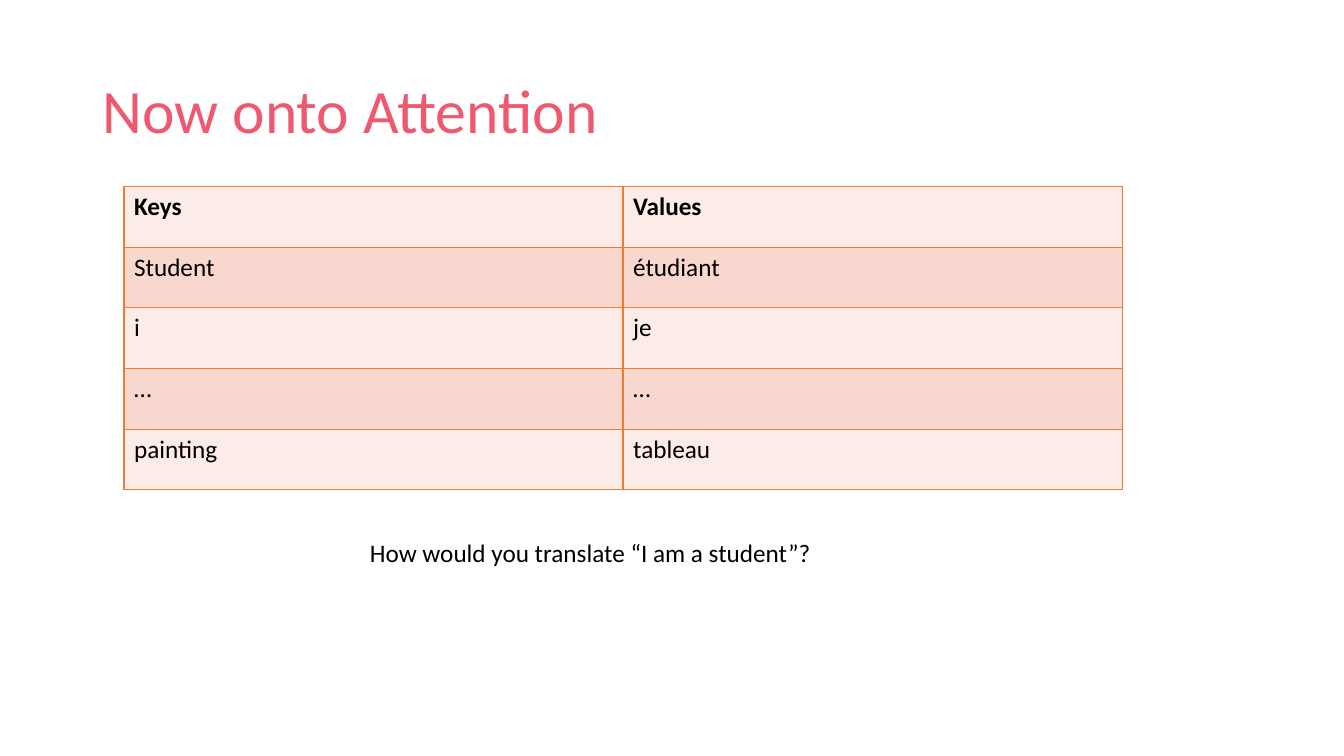
import lxml.etree
import pptx
import pptx.dml.color
import pptx.enum.text
import pptx.oxml.ns
import pptx.util

Inches = pptx.util.Inches
Pt = pptx.util.Pt
FONT = "Calibri"
BLACK = "000000"
BORDER = "ED7D31"
BANDS = ("FCECE8", "F8D7CE")
ROWS = (
    ("Keys", "Values"),
    ("Student", "étudiant"),
    ("i", "je"),
    ("…", "…"),
    ("painting", "tableau"),
)


def rgb(color):
    """Turn a hex string into a colour."""
    return pptx.dml.color.RGBColor.from_string(color)


def style(p, size, color, bold=False):
    """Set the font of a paragraph."""
    p.font.name = FONT
    p.font.size = Pt(size)
    p.font.bold = bold
    p.font.color.rgb = rgb(color)


def add_text(slide, box, text, size, color):
    """Add a single-paragraph text box and return its frame."""
    tf = slide.shapes.add_textbox(*map(Inches, box)).text_frame
    tf.word_wrap = True
    p = tf.paragraphs[0]
    p.text = text
    style(p, size, color)
    return tf


def add_title(slide, box):
    """Place the heading, centred vertically in its box."""
    tf = add_text(slide, box, "Now onto Attention", 44, "EF596F")
    tf.vertical_anchor = pptx.enum.text.MSO_ANCHOR.MIDDLE
    tf.paragraphs[0].line_spacing = 0.9


def add_borders(cell, color, width):
    """Draw a solid line on all four sides of a cell."""
    qn = pptx.oxml.ns.qn
    tcPr = cell._tc.get_or_add_tcPr()
    for side in ("lnL", "lnR", "lnT", "lnB"):
        ln = lxml.etree.SubElement(tcPr, qn(f"a:{side}"), w=str(Pt(width)))
        fill = lxml.etree.SubElement(ln, qn("a:solidFill"))
        lxml.etree.SubElement(fill, qn("a:srgbClr"), val=color)


def add_dictionary(slide, box):
    """Place the banded table of keys and values."""
    table = slide.shapes.add_table(len(ROWS), len(ROWS[0]), *map(Inches, box)).table
    for i, row in enumerate(ROWS):
        for j, text in enumerate(row):
            cell = table.cell(i, j)
            cell.text = text
            style(cell.text_frame.paragraphs[0], 18, BLACK, bold=i == 0)
            add_borders(cell, BORDER, 1)
            cell.fill.solid()
            cell.fill.fore_color.rgb = rgb(BANDS[i % 2])


def add_question(slide, box):
    """Place the question on one line."""
    tf = add_text(slide, box, "How would you translate “I am a student”?", 18, BLACK)
    tf.word_wrap = False
    tf.auto_size = pptx.enum.text.MSO_AUTO_SIZE.SHAPE_TO_FIT_TEXT


def main():
    """Build and save the slide."""
    prs = pptx.Presentation()
    prs.slide_width = Inches(13.33)
    prs.slide_height = Inches(7.5)
    slide = prs.slides.add_slide(prs.slide_layouts[6])
    add_title(slide, (0.92, 0.4, 11.5, 1.45))
    add_dictionary(slide, (1.23, 1.85, 9.9, 3.01))
    add_question(slide, (3.57, 5.28, 4.61, 0.4))
    prs.save("out.pptx")


if __name__ == "__main__":
    main()
